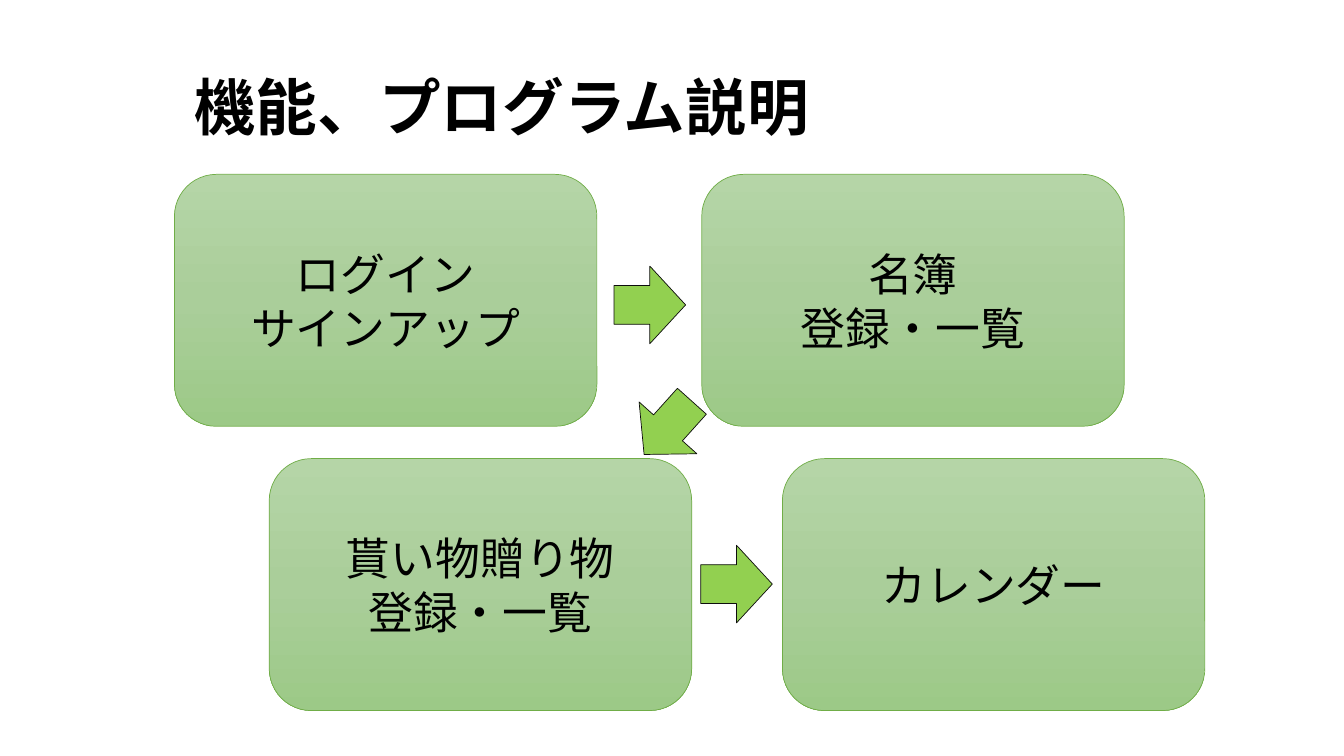
from copy import deepcopy

from lxml import etree
from pptx import Presentation
from pptx.dml.color import RGBColor
from pptx.enum import shapes, text
from pptx.oxml.ns import qn
from pptx.util import Inches, Pt

# Content
TITLE = "機能、プログラム説明"
BOXES = [  # left, row, lines
    (1.73, 0, ["ログイン", "サインアップ"]),
    (6.96, 0, ["名簿", "登録・一覧"]),
    (7.76, 1, ["カレンダー"]),
    (2.67, 1, ["貰い物贈り物", "登録・一覧"]),
]
ARROWS = [(6.09, 2.64, 0), (6.27, 3.86, 131.9), (6.95, 5.41, 0)]  # left, top, rotation

# Style
FONT = "Noto Sans CJK JP"
COLORS = {
    "text": "000000",
    "box_line": "70AD47",
    "arrow": "92D050",
    "arrow_line": "0D0D0D",
}
BOX_GRADIENT = [(0, "B5D5A7"), (0.5, "AACE9A"), (1, "9CC987")]
ROW_TOPS = [1.73, 4.55]
BOX_SIZE = (4.19, 2.5)
ARROW_SIZE = (0.71, 0.77)


def write(shape, lines, size, alignment, bold=False):
    frame = shape.text_frame
    frame.word_wrap = True
    frame.vertical_anchor = text.MSO_ANCHOR.MIDDLE
    frame.text = "\n".join(lines)
    for paragraph in frame.paragraphs:
        paragraph.alignment = alignment
        font = paragraph.font
        font.size, font.bold, font.name = Pt(size), bold, FONT
        font.color.rgb = RGBColor.from_string(COLORS["text"])
        # Japanese glyphs take the East Asian typeface
        properties = paragraph._p.pPr.find(qn("a:defRPr"))
        etree.SubElement(properties, qn("a:ea"), typeface=FONT)


def add_outlined(slide, kind, left, top, size, line_color):
    shape = slide.shapes.add_shape(
        kind, Inches(left), Inches(top), Inches(size[0]), Inches(size[1]))
    shape.shadow.inherit = False
    shape.line.color.rgb = RGBColor.from_string(line_color)
    shape.line.width = Pt(0.5)
    return shape


def fill_gradient(shape):
    fill = shape.fill
    fill.gradient()
    fill.gradient_angle = 270
    stops = shape._element.spPr.find(qn("a:gradFill")).find(qn("a:gsLst"))
    stops.insert(1, deepcopy(stops[0]))
    for stop, (position, color) in zip(fill.gradient_stops, BOX_GRADIENT):
        stop.position = position
        stop.color.rgb = RGBColor.from_string(color)


presentation = Presentation()
presentation.slide_width = Inches(13.33)
presentation.slide_height = Inches(7.5)
slide = presentation.slides.add_slide(presentation.slide_layouts[6])

# Title
title = slide.shapes.add_textbox(Inches(1.83), Inches(0.37), Inches(10.66), Inches(1.45))
write(title, [TITLE], 44, text.PP_ALIGN.LEFT, bold=True)
title.text_frame.paragraphs[0].line_spacing = 0.9

# Function boxes
for left, row, lines in BOXES:
    box = add_outlined(slide, shapes.MSO_SHAPE.ROUNDED_RECTANGLE, left, ROW_TOPS[row],
                       BOX_SIZE, COLORS["box_line"])
    fill_gradient(box)
    write(box, lines, 32, text.PP_ALIGN.CENTER)

# Flow arrows
for left, top, rotation in ARROWS:
    arrow = add_outlined(slide, shapes.MSO_SHAPE.RIGHT_ARROW, left, top,
                         ARROW_SIZE, COLORS["arrow_line"])
    arrow.rotation = rotation
    arrow.fill.solid()
    arrow.fill.fore_color.rgb = RGBColor.from_string(COLORS["arrow"])

presentation.save("out.pptx")
